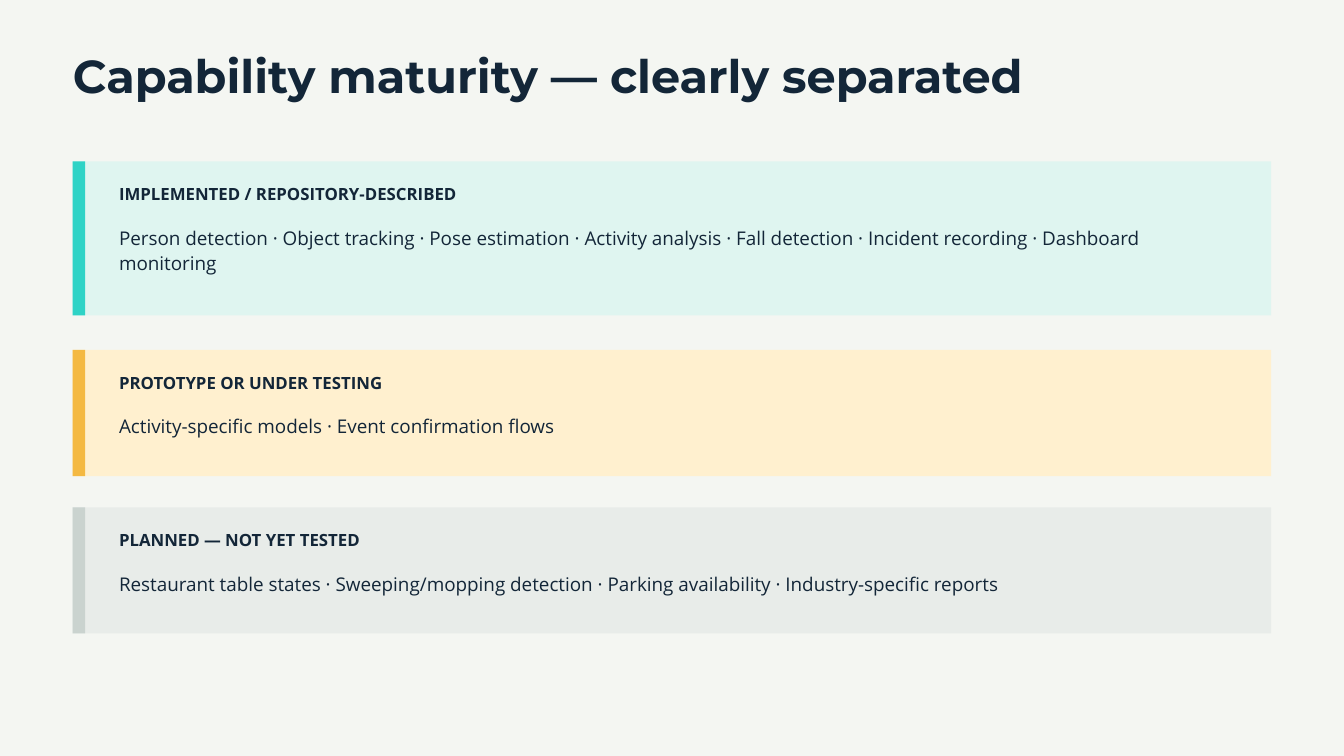
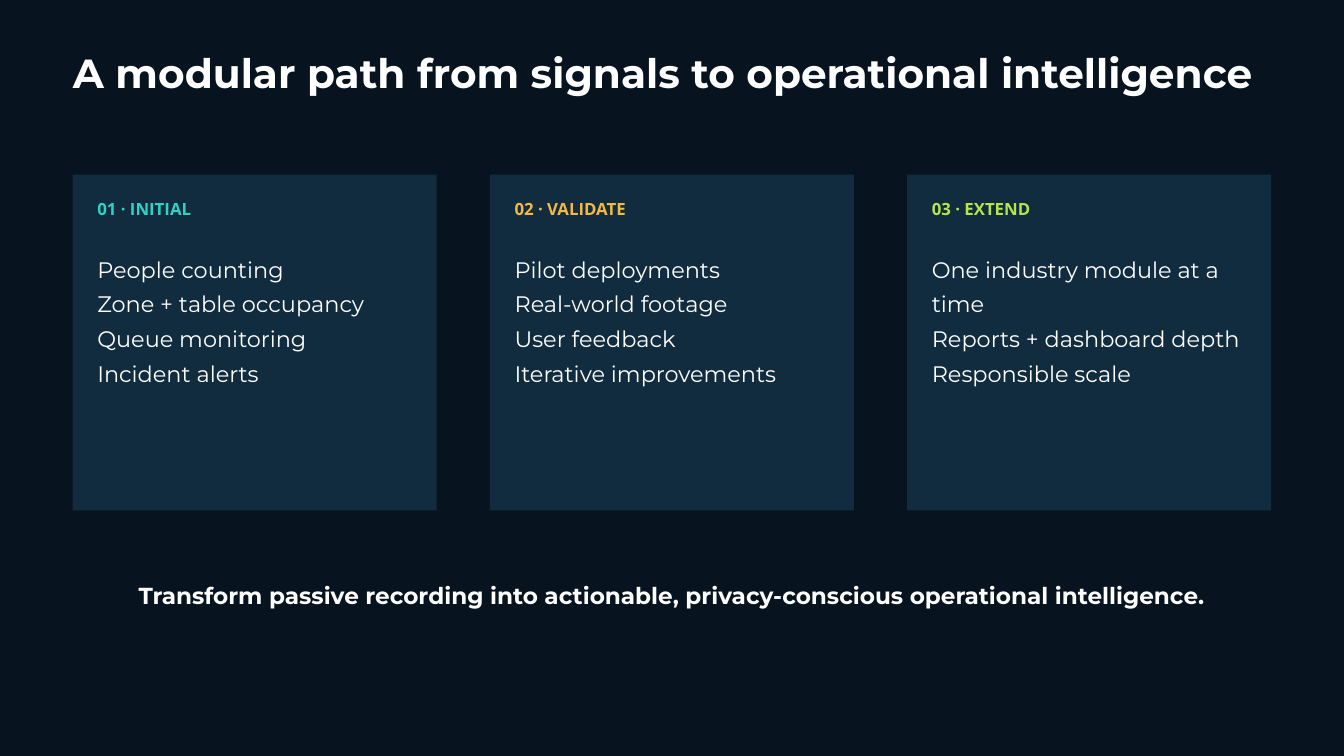
from pptx import Presentation
from pptx.dml.color import RGBColor
from pptx.enum.shapes import MSO_SHAPE as Preset
from pptx.enum.text import MSO_ANCHOR as Anchor, MSO_AUTO_SIZE as AutoSize, PP_ALIGN as Align
from pptx.util import Cm, Pt

HEADING, BODY = "Montserrat", "Open Sans"
INK, WHITE, PAPER, NIGHT, PANEL = "132638", "FFFFFF", "F4F6F2", "07131F", "112C3E"
TEAL, AMBER, LIME, GREY = "2ED3C6", "F4B942", "B7E34B", "CAD3CF"

SLIDE_WIDTH, SLIDE_HEIGHT, MARGIN = 50.8, 28.58, 2.75
CONTENT_WIDTH = SLIDE_WIDTH - 2 * MARGIN

MATURITY_TITLE = "Capability maturity — clearly separated"
MATURITY_BANDS = [
    ("IMPLEMENTED / REPOSITORY-DESCRIBED",
     "Person detection · Object tracking · Pose estimation · Activity analysis · "
     "Fall detection · Incident recording · Dashboard monitoring",
     TEAL, "DFF5F0", 6.1, 5.82),
    ("PROTOTYPE OR UNDER TESTING",
     "Activity-specific models · Event confirmation flows",
     AMBER, "FFF0CF", 13.23, 4.77),
    ("PLANNED — NOT YET TESTED",
     "Restaurant table states · Sweeping/mopping detection · "
     "Parking availability · Industry-specific reports",
     GREY, "E8ECE9", 19.18, 4.77),
]

PATH_TITLE = "A modular path from signals to operational intelligence"
PATH_STAGES = [
    ("01 · INITIAL", TEAL,
     ["People counting", "Zone + table occupancy", "Queue monitoring", "Incident alerts"]),
    ("02 · VALIDATE", AMBER,
     ["Pilot deployments", "Real-world footage", "User feedback", "Iterative improvements"]),
    ("03 · EXTEND", LIME,
     ["One industry module at a time", "Reports + dashboard depth", "Responsible scale"]),
]
PATH_CLOSING = "Transform passive recording into actionable, privacy-conscious operational intelligence."


def color(value):
    return RGBColor.from_string(value)


def fill_text(shape, lines, font, size, spacing, ink, bold=False, align=Align.LEFT):
    frame = shape.text_frame
    frame.word_wrap = True
    frame.auto_size = AutoSize.NONE
    frame.vertical_anchor = Anchor.TOP
    frame.margin_left = frame.margin_top = frame.margin_right = frame.margin_bottom = 0
    for index, line in enumerate(lines):
        paragraph = frame.paragraphs[0] if index == 0 else frame.add_paragraph()
        paragraph.alignment = align
        paragraph.line_spacing = Pt(spacing)
        run = paragraph.add_run()
        run.text = line
        run.font.name = font
        run.font.size = Pt(size)
        run.font.bold = bold
        run.font.color.rgb = color(ink)


def add_text(shapes, box, lines, *style, **options):
    fill_text(shapes.add_textbox(*map(Cm, box)), lines, *style, **options)


def add_label(shapes, left, top, width, text, ink):
    add_text(shapes, (left, top, width, 0.71), [text], BODY, 18, 20.7, ink, bold=True)


def add_block(shapes, box, fill):
    block = shapes.add_shape(Preset.RECTANGLE, *map(Cm, box))
    block.shadow.inherit = False
    block.fill.solid()
    block.fill.fore_color.rgb = color(fill)
    block.line.fill.background()


def add_slide(presentation, background, title, top, size, spacing, ink):
    slide = presentation.slides.add_slide(presentation.slide_layouts[5])
    slide.background.fill.solid()
    slide.background.fill.fore_color.rgb = color(background)
    shape = slide.shapes.title
    shape.left, shape.top = Cm(MARGIN), Cm(top)
    shape.width, shape.height = Cm(CONTENT_WIDTH), Cm(1.88)
    fill_text(shape, [title], HEADING, size, spacing, ink, bold=True)
    return slide


def add_maturity_slide(presentation):
    slide = add_slide(presentation, PAPER, MATURITY_TITLE, 2.06, 49.5, 52, INK)
    text_left = MARGIN + 1.75
    for label, text, accent, fill, top, height in MATURITY_BANDS:
        shapes = slide.shapes.add_group_shape().shapes
        add_block(shapes, (MARGIN, top, CONTENT_WIDTH, height), fill)
        add_block(shapes, (MARGIN, top, 0.47, height), accent)
        add_label(shapes, text_left, top + 0.88, 13.76, label, INK)
        add_text(shapes, (text_left, top + 2.35, 39.68, height - 3.9), [text],
                 BODY, 20.2, 27.3, INK)


def add_path_slide(presentation):
    slide = add_slide(presentation, NIGHT, PATH_TITLE, 2.03, 43.5, 45.7, WHITE)
    top, width, height, inset, text_width = 6.6, 13.76, 12.7, 0.93, 11.7
    step = (CONTENT_WIDTH - width) / (len(PATH_STAGES) - 1)
    for index, (label, accent, items) in enumerate(PATH_STAGES):
        left = MARGIN + index * step
        shapes = slide.shapes.add_group_shape().shapes
        add_block(shapes, (left, top, width, height), PANEL)
        add_label(shapes, left + inset, top + 0.96, text_width, label, accent)
        add_text(shapes, (left + inset, top + 2.77, text_width, 5.05), items,
                 HEADING, 24, 37.2, WHITE)
    closing_width = 40.74
    add_text(slide.shapes, ((SLIDE_WIDTH - closing_width) / 2, 21.82, closing_width, 1.17),
             [PATH_CLOSING], HEADING, 24.8, 34.6, WHITE, bold=True, align=Align.CENTER)


def main():
    presentation = Presentation()
    presentation.slide_width = Cm(SLIDE_WIDTH)
    presentation.slide_height = Cm(SLIDE_HEIGHT)
    add_maturity_slide(presentation)
    add_path_slide(presentation)
    presentation.save("out.pptx")


if __name__ == "__main__":
    main()
